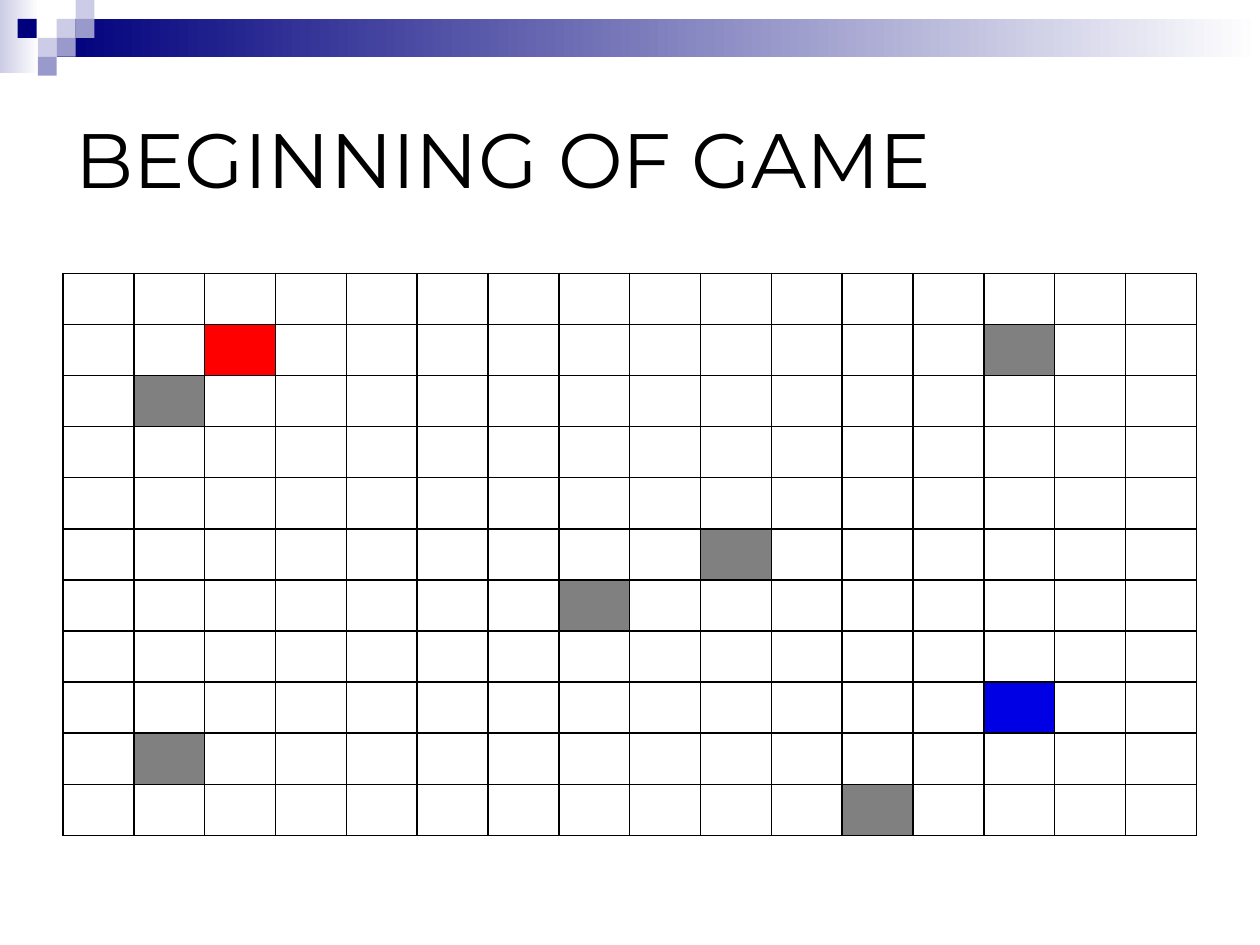
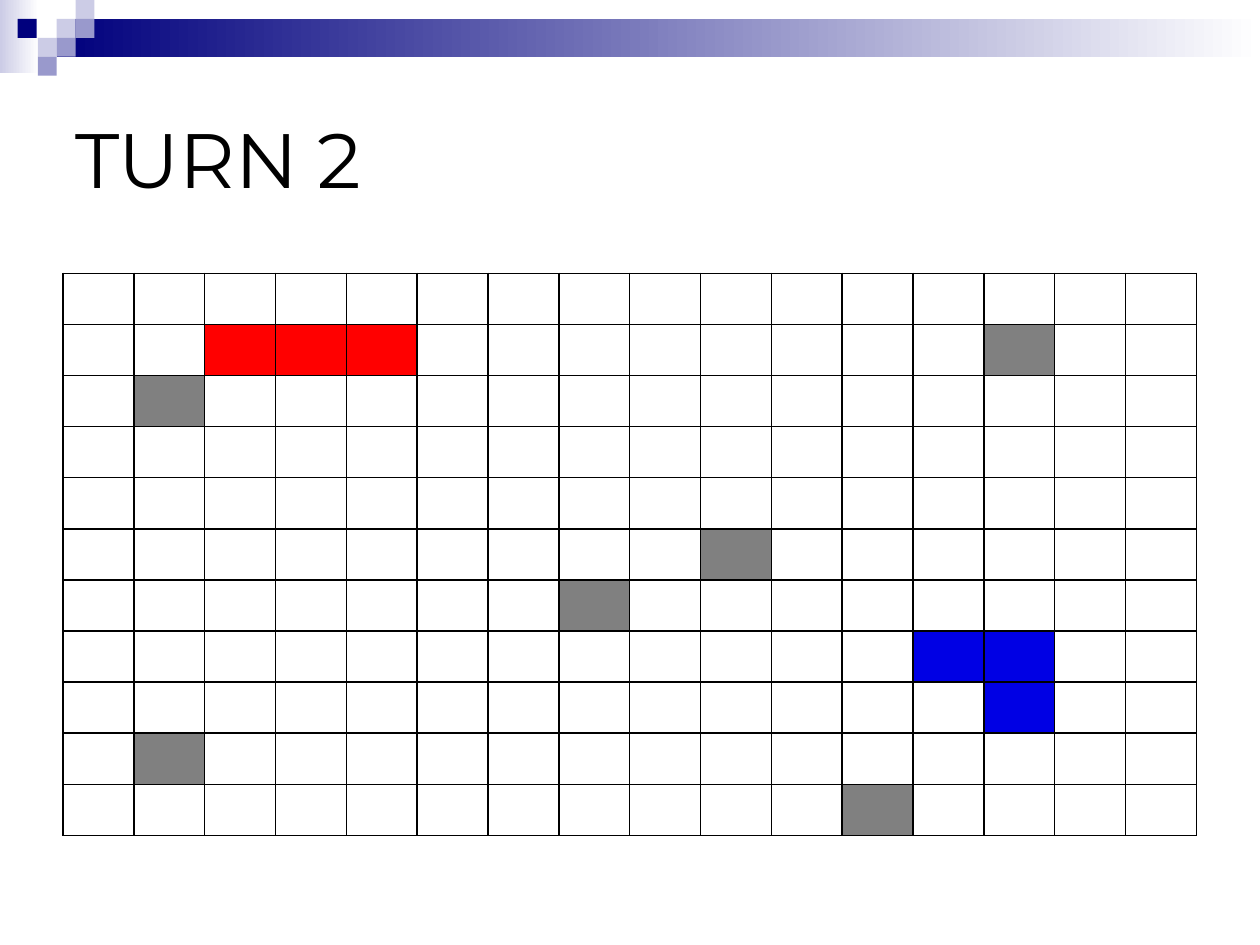
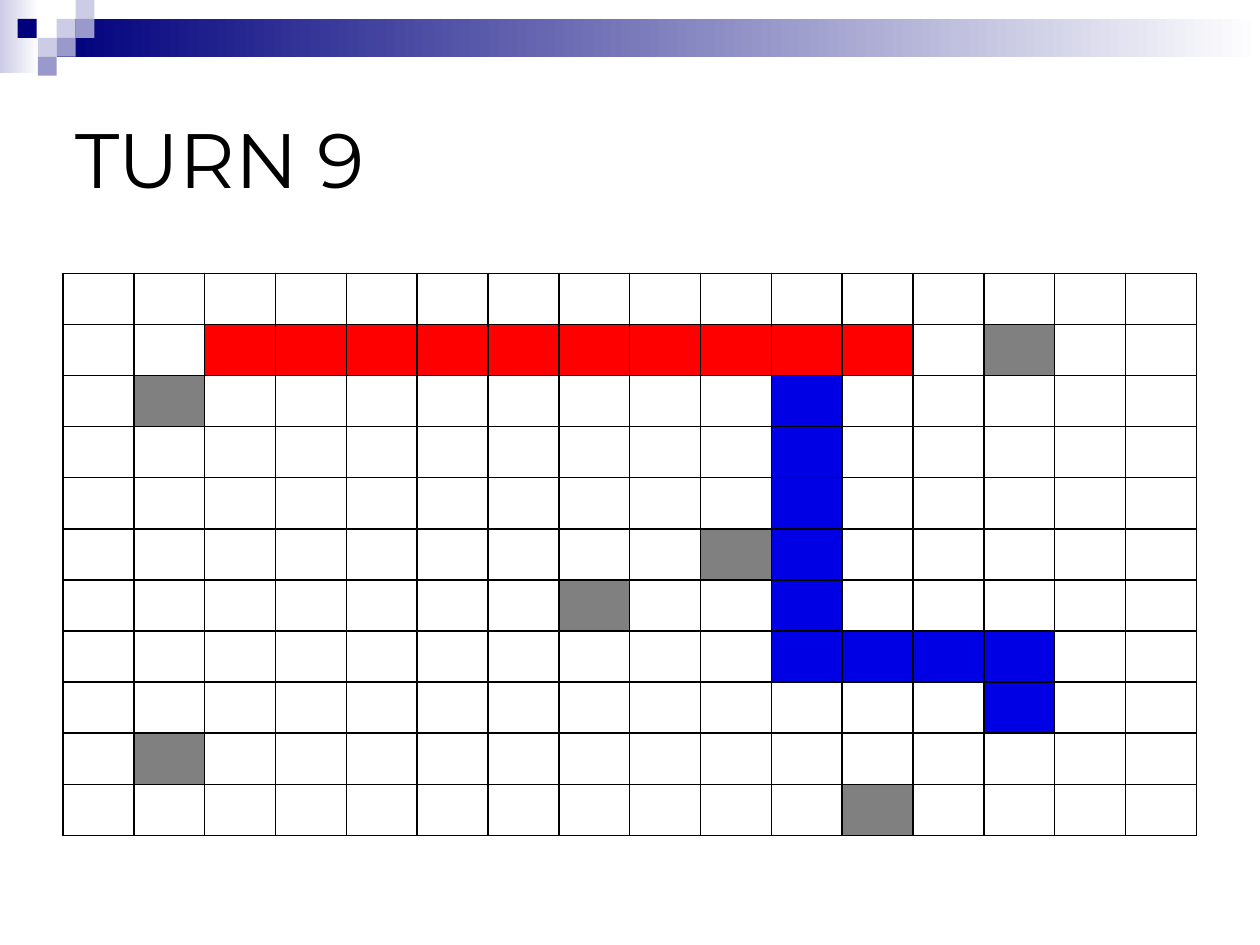
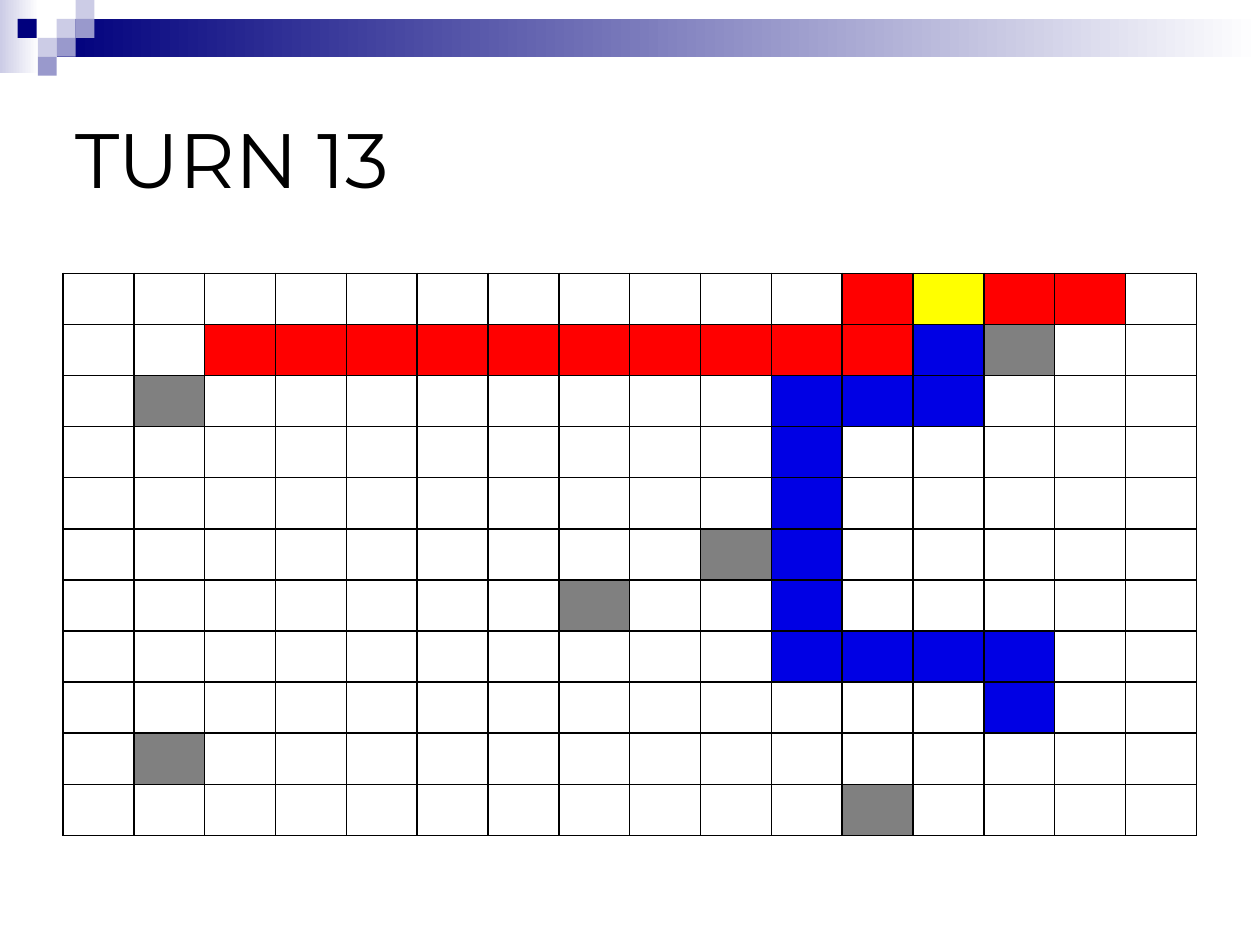
"""Build four slides that show the stages of a two-player trail game on a grid."""
from dataclasses import dataclass

from lxml import etree
from pptx import Presentation
from pptx.dml.color import RGBColor
from pptx.enum.shapes import MSO_SHAPE
from pptx.enum.text import MSO_ANCHOR
from pptx.oxml.ns import qn
from pptx.util import Pt

RECTANGLE = MSO_SHAPE.RECTANGLE
MIDDLE = MSO_ANCHOR.MIDDLE


@dataclass(frozen=True)
class Theme:
    font: str = "Montserrat"
    title_size: float = 44
    border_width: float = 1
    black: str = "000000"
    white: str = "FFFFFF"
    navy: str = "00007D"
    lavender: str = "CCCCE6"
    periwinkle: str = "9999CC"
    red: str = "FF0000"
    blue: str = "0000E4"
    crash: str = "FFFF00"
    obstacle: str = "808080"


theme = Theme()

ROWS, COLUMNS = 11, 16
ROW_HEIGHT, COLUMN_WIDTH = 29.2, 40.5
SQUARE = 10.8

fading_bars = [
    (0, 0, 22.3, 41.8, theme.lavender),
    (32.4, 10.8, 687.6, 21.6, theme.navy),
]
mosaic = [
    (32.4, 10.8, theme.lavender),
    (43.2, 0, theme.lavender),
    (43.2, 10.8, theme.periwinkle),
    (21.6, 21.6, theme.lavender),
    (10.1, 10.8, theme.navy),
    (32.4, 21.6, theme.periwinkle),
    (21.6, 32.4, theme.periwinkle),
]

obstacles = [(1, 13), (2, 1), (5, 9), (6, 7), (9, 1), (10, 11)]
red_trail = [(1, column) for column in range(2, 12)]
red_trail += [(0, column) for column in range(11, 15)]
blue_trail = [(8, 13)] + [(7, column) for column in range(13, 9, -1)]
blue_trail += [(row, 10) for row in range(6, 1, -1)]
blue_trail += [(2, 11), (2, 12), (1, 12), (0, 12)]

stages = [("BEGINNING OF GAME", 0), ("TURN 2", 2), ("TURN 9", 9), ("TURN 13", 13)]


def add_rectangle(slide, left, top, width, height, color, fades=False):
    shape = slide.shapes.add_shape(RECTANGLE, Pt(left), Pt(top), Pt(width), Pt(height))
    shape.shadow.inherit = False
    shape.line.fill.background()
    if fades:
        shape.fill.gradient()
        shape.fill.gradient_angle = 0
        for stop, position, shade in zip(shape.fill.gradient_stops, (0, 1), (color, theme.white)):
            stop.position = position
            stop.color.rgb = RGBColor.from_string(shade)
    else:
        shape.fill.solid()
        shape.fill.fore_color.rgb = RGBColor.from_string(color)


def format_cell(cell, color):
    cell.margin_top = cell.margin_bottom = 0
    properties = cell._tc.get_or_add_tcPr()
    for side in ("a:lnL", "a:lnR", "a:lnT", "a:lnB"):
        line = etree.SubElement(properties, qn(side), w=str(Pt(theme.border_width)))
        solid = etree.SubElement(line, qn("a:solidFill"))
        etree.SubElement(solid, qn("a:srgbClr"), val=theme.black)
    if color:
        cell.fill.solid()
        cell.fill.fore_color.rgb = RGBColor.from_string(color)
    else:
        cell.fill.background()


presentation = Presentation()
presentation.slide_width, presentation.slide_height = Pt(720), Pt(540)
blank_layout = presentation.slide_layouts[6]

for title, turn in stages:
    slide = presentation.slides.add_slide(blank_layout)
    for left, top, width, height, color in fading_bars:
        add_rectangle(slide, left, top, width, height, color, fades=True)
    for left, top, color in mosaic:
        add_rectangle(slide, left, top, SQUARE, SQUARE, color)

    title_box = slide.shapes.add_textbox(Pt(36), Pt(36), Pt(648), Pt(108))
    text_frame = title_box.text_frame
    text_frame.word_wrap = True
    text_frame.vertical_anchor = MIDDLE
    paragraph = text_frame.paragraphs[0]
    paragraph.text = title
    paragraph.font.name = theme.font
    paragraph.font.size = Pt(theme.title_size)
    paragraph.font.color.rgb = RGBColor.from_string(theme.black)

    red_cells = red_trail[:turn + 1]
    blue_cells = blue_trail[:turn + 1]
    colors = dict.fromkeys(obstacles, theme.obstacle)
    colors.update(dict.fromkeys(red_cells, theme.red))
    colors.update(dict.fromkeys(blue_cells, theme.blue))
    colors.update(dict.fromkeys(set(red_cells) & set(blue_cells), theme.crash))

    board = slide.shapes.add_table(
        ROWS, COLUMNS, Pt(36), Pt(156.2), Pt(COLUMNS * COLUMN_WIDTH), Pt(ROWS * ROW_HEIGHT)
    ).table
    board.first_row = board.horz_banding = False
    for column in board.columns:
        column.width = Pt(COLUMN_WIDTH)
    for row_index, row in enumerate(board.rows):
        row.height = Pt(ROW_HEIGHT)
        for column_index, cell in enumerate(row.cells):
            format_cell(cell, colors.get((row_index, column_index)))

presentation.save("out.pptx")
